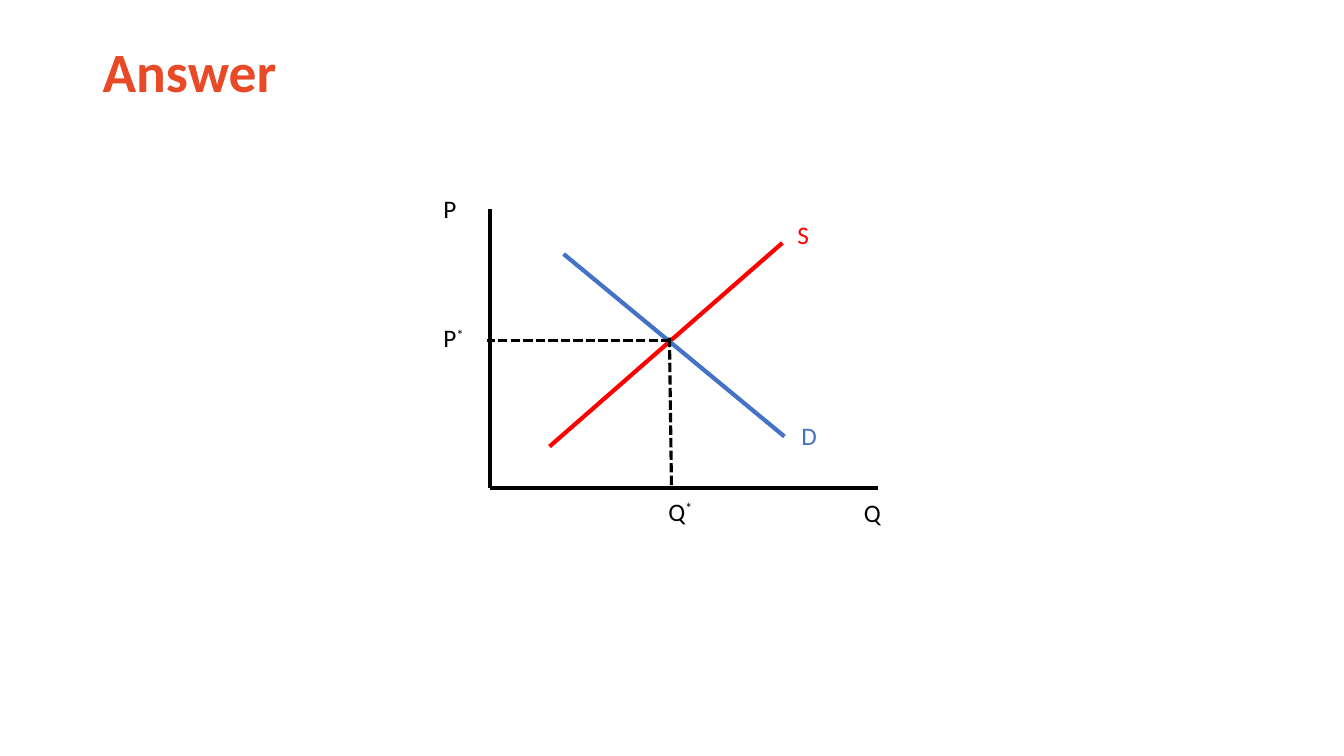
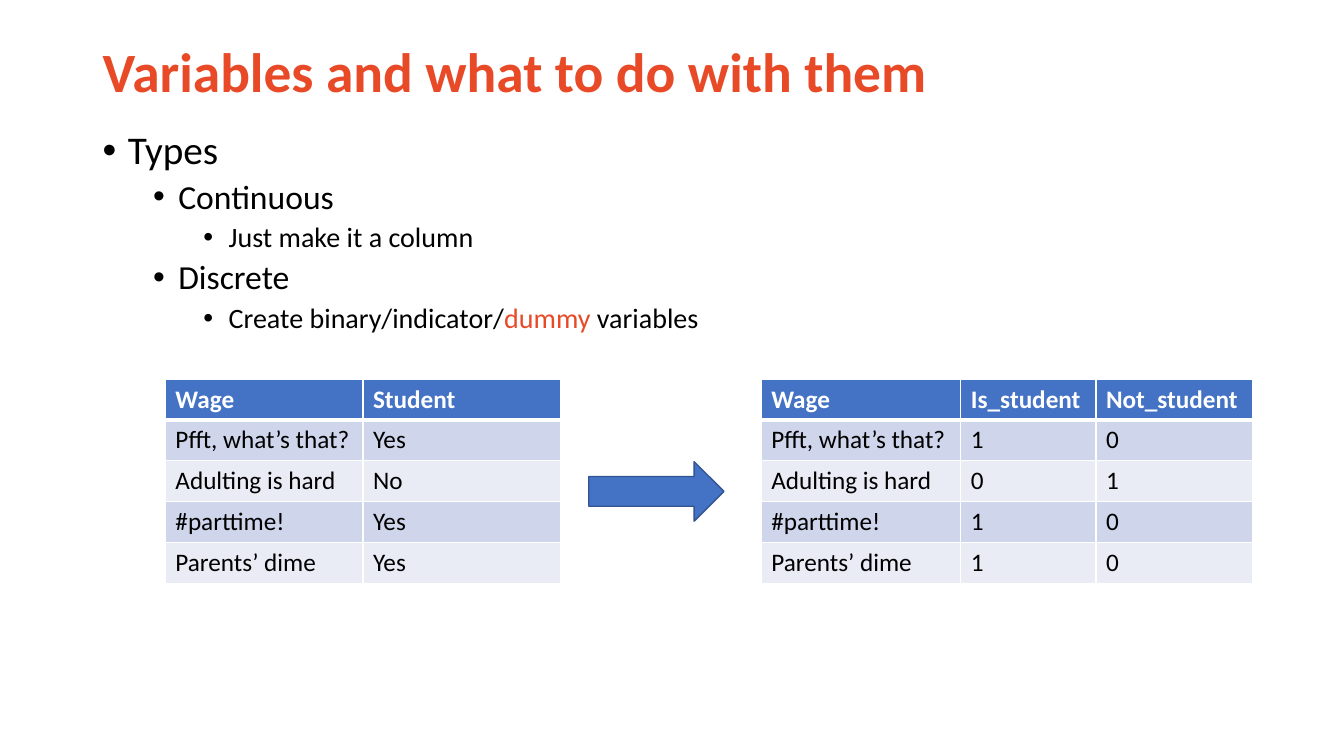
"""Build a supply-and-demand answer slide and a slide on variable types."""

import dataclasses
import typing

import lxml.etree
import pptx
import pptx.dml.color
import pptx.enum.dml
import pptx.enum.shapes
import pptx.enum.text
import pptx.oxml.ns
import pptx.presentation
import pptx.shapes.autoshape
import pptx.slide
import pptx.table
import pptx.text.text
import pptx.util

Inches = pptx.util.Inches
Pt = pptx.util.Pt
RGBColor = pptx.dml.color.RGBColor
qn = pptx.oxml.ns.qn

FONT = "Calibri"
ORANGE = RGBColor(0xE8, 0x4A, 0x27)
BLUE = RGBColor(0x44, 0x72, 0xC4)
DARK_BLUE = RGBColor(0x32, 0x54, 0x91)
RED = RGBColor(0xFF, 0x00, 0x00)
BLACK = RGBColor(0x00, 0x00, 0x00)
WHITE = RGBColor(0xFF, 0xFF, 0xFF)
BAND_FILLS = (RGBColor(0xE9, 0xEB, 0xF5), RGBColor(0xCF, 0xD5, 0xEA))

ROW_HEIGHT = 0.406
TABLE_TOP = 3.76
BULLET_SIZES = (28, 24, 20)


@dataclasses.dataclass(frozen=True)
class GraphLine:
    start: tuple[float, float]
    end: tuple[float, float]
    color: RGBColor = BLACK
    width: float = 3
    dashed: bool = False


@dataclasses.dataclass(frozen=True)
class GraphLabel:
    text: str
    left: float
    top: float
    color: RGBColor = BLACK
    superscript: str = ""


@dataclasses.dataclass(frozen=True)
class Bullet:
    level: int
    text: str
    highlight: str = ""
    ending: str = ""


@dataclasses.dataclass(frozen=True)
class DataTable:
    left: float
    column_widths: tuple[float, ...]
    rows: tuple[tuple[str, ...], ...]


GRAPH_LINES = (
    GraphLine((4.86, 2.07), (4.86, 4.84)),
    GraphLine((8.71, 4.84), (4.86, 4.84)),
    GraphLine((7.76, 2.41), (5.45, 4.43), RED),
    GraphLine((7.78, 4.33), (5.59, 2.52), BLUE),
    GraphLine((6.65, 3.38), (4.83, 3.38), width=2.25, dashed=True),
    GraphLine((6.64, 3.35), (6.66, 4.84), width=2.25, dashed=True),
)
GRAPH_LABELS = (
    GraphLabel("S", 7.81, 2.13, RED),
    GraphLabel("D", 7.85, 4.12, BLUE),
    GraphLabel("P", 4.3, 1.87),
    GraphLabel("Q", 8.47, 4.88),
    GraphLabel("P", 4.3, 3.15, superscript="*"),
    GraphLabel("Q", 6.53, 4.87, superscript="*"),
)
BULLETS = (
    Bullet(0, "Types"),
    Bullet(1, "Continuous"),
    Bullet(2, "Just make it a column"),
    Bullet(1, "Discrete"),
    Bullet(2, "Create binary/indicator/", "dummy", " variables"),
)
WAGES = ("Pfft, what’s that?", "Adulting is hard", "#parttime!", "Parents’ dime")
STUDENTS = ("Yes", "No", "Yes", "Yes")
INDICATORS = {"Yes": ("1", "0"), "No": ("0", "1")}
TABLES = (
    DataTable(1.64, (1.96, 1.96), (("Wage", "Student"), *zip(WAGES, STUDENTS))),
    DataTable(
        7.55,
        (1.98, 1.34, 1.55),
        (
            ("Wage", "Is_student", "Not_student"),
            *((wage, *INDICATORS[student]) for wage, student in zip(WAGES, STUDENTS)),
        ),
    ),
)


def style_paragraph(
    paragraph: pptx.text.text._Paragraph, size: float, color: RGBColor, bold: bool = False
) -> None:
    font = paragraph.font
    font.name = FONT
    font.size = Pt(size)
    font.bold = bold
    font.color.rgb = color


def add_text_box(
    slide: pptx.slide.Slide, left: float, top: float, width: float, height: float
) -> pptx.text.text.TextFrame:
    shape = slide.shapes.add_textbox(Inches(left), Inches(top), Inches(width), Inches(height))
    shape.text_frame.word_wrap = True
    return shape.text_frame


def add_titled_slide(presentation: pptx.presentation.Presentation, title: str) -> pptx.slide.Slide:
    slide = presentation.slides.add_slide(presentation.slide_layouts[6])
    frame = add_text_box(slide, 0.92, 0.38, 11.5, 0.71)
    frame.vertical_anchor = pptx.enum.text.MSO_ANCHOR.MIDDLE
    paragraph = frame.paragraphs[0]
    paragraph.text = title
    paragraph.line_spacing = 0.9
    style_paragraph(paragraph, 39.6, ORANGE, bold=True)
    return slide


def add_graph_line(slide: pptx.slide.Slide, graph_line: GraphLine) -> None:
    points = (Inches(value) for value in (*graph_line.start, *graph_line.end))
    connector = slide.shapes.add_connector(pptx.enum.shapes.MSO_CONNECTOR.STRAIGHT, *points)
    connector.line.color.rgb = graph_line.color
    connector.line.width = Pt(graph_line.width)
    if graph_line.dashed:
        connector.line.dash_style = pptx.enum.dml.MSO_LINE.SQUARE_DOT
    lxml.etree.SubElement(connector._element.spPr, qn("a:effectLst"))


def add_graph_label(slide: pptx.slide.Slide, label: GraphLabel) -> None:
    frame = add_text_box(slide, label.left, label.top, 0.66, 0.4)
    frame.auto_size = pptx.enum.text.MSO_AUTO_SIZE.SHAPE_TO_FIT_TEXT
    paragraph = frame.paragraphs[0]
    paragraph.add_run().text = label.text
    if label.superscript:
        run = paragraph.add_run()
        run.text = label.superscript
        run._r.get_or_add_rPr().set("baseline", "30000")
    style_paragraph(paragraph, 18, label.color)


def add_bullets(slide: pptx.slide.Slide, bullets: typing.Sequence[Bullet]) -> None:
    frame = add_text_box(slide, 0.92, 1.25, 11.5, 5.01)
    for index, bullet in enumerate(bullets):
        paragraph = frame.add_paragraph() if index else frame.paragraphs[0]
        paragraph.level = bullet.level
        paragraph.line_spacing = 0.9
        paragraph.space_before = Pt(5 if bullet.level else 10)
        properties = paragraph._p.get_or_add_pPr()
        properties.set("marL", str(Inches(0.25 + 0.5 * bullet.level)))
        properties.set("indent", str(Inches(-0.25)))
        lxml.etree.SubElement(properties, qn("a:buFont"), typeface="Arial")
        lxml.etree.SubElement(properties, qn("a:buChar"), char="•")
        style_paragraph(paragraph, BULLET_SIZES[bullet.level], BLACK)
        paragraph.add_run().text = bullet.text
        if bullet.highlight:
            run = paragraph.add_run()
            run.text = bullet.highlight
            run.font.color.rgb = ORANGE
            paragraph.add_run().text = bullet.ending


def set_borders(cell: pptx.table._Cell, top: float, bottom: float) -> None:
    properties = cell._tc.get_or_add_tcPr()
    for side, width in (("L", 1), ("R", 1), ("T", top), ("B", bottom)):
        border = lxml.etree.SubElement(properties, qn(f"a:ln{side}"), w=str(Pt(width)))
        fill = lxml.etree.SubElement(border, qn("a:solidFill"))
        lxml.etree.SubElement(fill, qn("a:srgbClr"), val=str(WHITE))


def add_data_table(slide: pptx.slide.Slide, data: DataTable) -> None:
    table = slide.shapes.add_table(
        len(data.rows),
        len(data.column_widths),
        Inches(data.left),
        Inches(TABLE_TOP),
        Inches(sum(data.column_widths)),
        Inches(ROW_HEIGHT * len(data.rows)),
    ).table
    for column, width in zip(table.columns, data.column_widths):
        column.width = Inches(width)
    for row_index, texts in enumerate(data.rows):
        is_header = row_index == 0
        for column_index, text in enumerate(texts):
            cell = table.cell(row_index, column_index)
            set_borders(cell, top=3 if row_index == 1 else 1, bottom=3 if is_header else 1)
            cell.fill.solid()
            cell.fill.fore_color.rgb = BLUE if is_header else BAND_FILLS[row_index % 2]
            paragraph = cell.text_frame.paragraphs[0]
            paragraph.text = text
            style_paragraph(paragraph, 18, WHITE if is_header else BLACK, bold=is_header)


def add_right_arrow(slide: pptx.slide.Slide) -> None:
    arrow = slide.shapes.add_shape(
        pptx.enum.shapes.MSO_SHAPE.RIGHT_ARROW,
        Inches(5.84),
        Inches(4.58),
        Inches(1.34),
        Inches(0.59),
    )
    arrow.shadow.inherit = False
    arrow.fill.solid()
    arrow.fill.fore_color.rgb = BLUE
    arrow.line.color.rgb = DARK_BLUE
    arrow.line.width = Pt(1)


def main() -> None:
    presentation = pptx.Presentation()
    presentation.slide_width = Inches(13.33)
    presentation.slide_height = Inches(7.5)

    answer_slide = add_titled_slide(presentation, "Answer")
    for graph_line in GRAPH_LINES:
        add_graph_line(answer_slide, graph_line)
    for label in GRAPH_LABELS:
        add_graph_label(answer_slide, label)

    variables_slide = add_titled_slide(presentation, "Variables and what to do with them")
    add_bullets(variables_slide, BULLETS)
    for data in TABLES:
        add_data_table(variables_slide, data)
    add_right_arrow(variables_slide)

    presentation.save("out.pptx")


if __name__ == "__main__":
    main()
